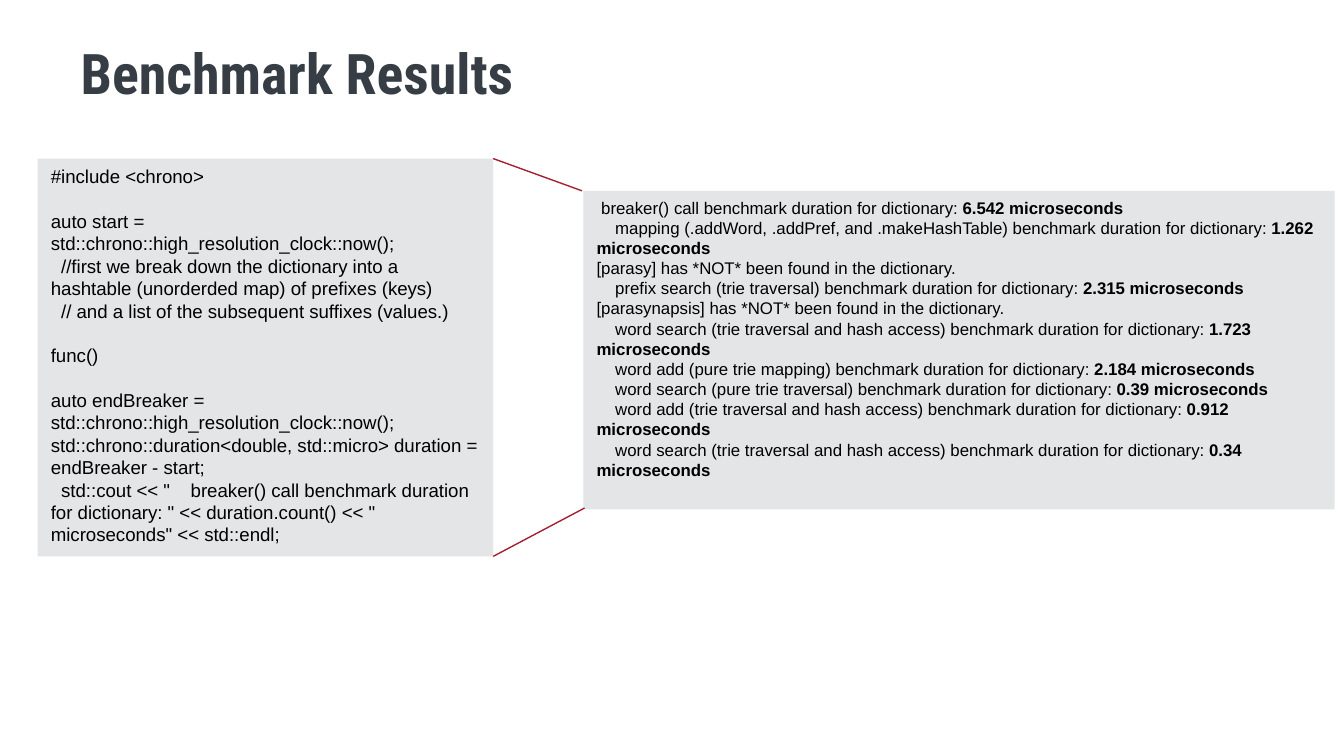
"""Build the Benchmark Results slide: timing code beside its measured output."""
import pptx
import pptx.dml.color
import pptx.enum.shapes
import pptx.enum.text
import pptx.oxml.ns
import pptx.util
from lxml import etree

WIDTH = 10
HEIGHT = WIDTH * 9 / 16
COLORS = {"title": "363D45", "panel": "E3E5E6", "text": "000000", "line": "A22032"}
TITLE = "Benchmark Results"
TITLE_AREA = (0.53, 0.3, 8.79, 1.09)
CODE_AREA = (0.28, 1.18, 3.39, 2.96)
RESULT_AREA = (4.34, 1.42, 5.59, 2.37)
LINK_ENDS = [(4.33, 1.42), (4.35, 3.78)]
LINE_RATIO = 1.2

CODE_BLOCKS = [
    ["#include <chrono>"],
    [
        "auto start = std::chrono::high_resolution_clock::now();",
        "  //first we break down the dictionary into a hashtable (unorderded map) of prefixes (keys)",
        "  // and a list of the subsequent suffixes (values.)",
    ],
    ["func()"],
    [
        "auto endBreaker = std::chrono::high_resolution_clock::now();",
        "std::chrono::duration<double, std::micro> duration = endBreaker - start;",
        "  std::cout << \"    breaker() call benchmark duration for dictionary: \""
        " << duration.count() << \" microseconds\" << std::endl;",
    ],
]
RESULTS = [
    (2.5, "breaker() call", "6.542"),
    (10, "mapping (.addWord, .addPref, and .makeHashTable)", "1.262"),
    (0, "[parasy] has *NOT* been found in the dictionary.", None),
    (10, "prefix search (trie traversal)", "2.315"),
    (0, "[parasynapsis] has *NOT* been found in the dictionary.", None),
    (10, "word search (trie traversal and hash access)", "1.723"),
    (10, "word add (pure trie mapping)", "2.184"),
    (10, "word search (pure trie traversal)", "0.39"),
    (10, "word add (trie traversal and hash access)", "0.912"),
    (10, "word search (trie traversal and hash access)", "0.34"),
]


def color(name):
    return pptx.dml.color.RGBColor.from_string(COLORS[name])


def inches(values):
    return [pptx.util.Inches(value) for value in values]


def set_frame(box, side, edge):
    frame = box.text_frame
    frame.word_wrap = True
    frame.vertical_anchor = pptx.enum.text.MSO_ANCHOR.TOP
    frame.margin_left = frame.margin_right = pptx.util.Inches(side)
    frame.margin_top = frame.margin_bottom = pptx.util.Inches(edge)
    return frame


def add_span(para, text, size, bold=False, font="Arial", tone="text"):
    span = para.add_run()
    span.text = text
    span.font.name = font
    span.font.size = pptx.util.Pt(size)
    span.font.bold = bold
    span.font.color.rgb = color(tone)


def add_panel(page, area, size, lines):
    box = page.shapes.add_shape(pptx.enum.shapes.MSO_SHAPE.RECTANGLE, *inches(area))
    box.shadow.inherit = False
    box.fill.solid()
    box.fill.fore_color.rgb = color("panel")
    box.line.fill.background()
    frame = set_frame(box, 0.1, 0.05)
    pitch = pptx.util.Pt(size * LINE_RATIO)
    for index, (indent, gap, spans) in enumerate(lines):
        para = frame.add_paragraph() if index else frame.paragraphs[0]
        para.alignment = pptx.enum.text.PP_ALIGN.LEFT
        para.line_spacing = pitch
        if gap:
            para.space_before = pitch
        if indent:
            properties = para._p.get_or_add_pPr()
            properties.set("marL", "0")
            properties.set("indent", str(pptx.util.Pt(indent)))
        for text, bold in spans:
            add_span(para, text, size, bold)


def add_link(page, start, end):
    link = page.shapes.add_connector(
        pptx.enum.shapes.MSO_CONNECTOR.STRAIGHT, *inches(start + end))
    link.line.color.rgb = color("line")
    link.line.width = pptx.util.Pt(0.75)
    etree.SubElement(link._element.spPr, pptx.oxml.ns.qn("a:effectLst"))


def result_spans(text, value):
    if value is None:
        return [(text, False)]
    return [(f"{text} benchmark duration for dictionary: ", False),
            (f"{value} microseconds", True)]


def main():
    deck = pptx.Presentation()
    deck.slide_width, deck.slide_height = inches((WIDTH, HEIGHT))
    page = deck.slides.add_slide(deck.slide_layouts[6])

    title = page.shapes.add_textbox(*inches(TITLE_AREA))
    para = set_frame(title, 0.07, 0.04).paragraphs[0]
    para.line_spacing = 0.9
    add_span(para, TITLE, 30, True, "Roboto Condensed", "title")

    code_lines = [(0, block > 0 and row == 0, [(text, False)])
                  for block, rows in enumerate(CODE_BLOCKS)
                  for row, text in enumerate(rows)]
    result_lines = [(indent, False, result_spans(text, value))
                    for indent, text, value in RESULTS]
    add_panel(page, CODE_AREA, 10, code_lines)
    add_panel(page, RESULT_AREA, 9, result_lines)

    left, top, width, height = CODE_AREA
    for corner_top, end in zip((top, top + height), LINK_ENDS):
        add_link(page, (left + width, corner_top), end)
    deck.save("out.pptx")


if __name__ == "__main__":
    main()
